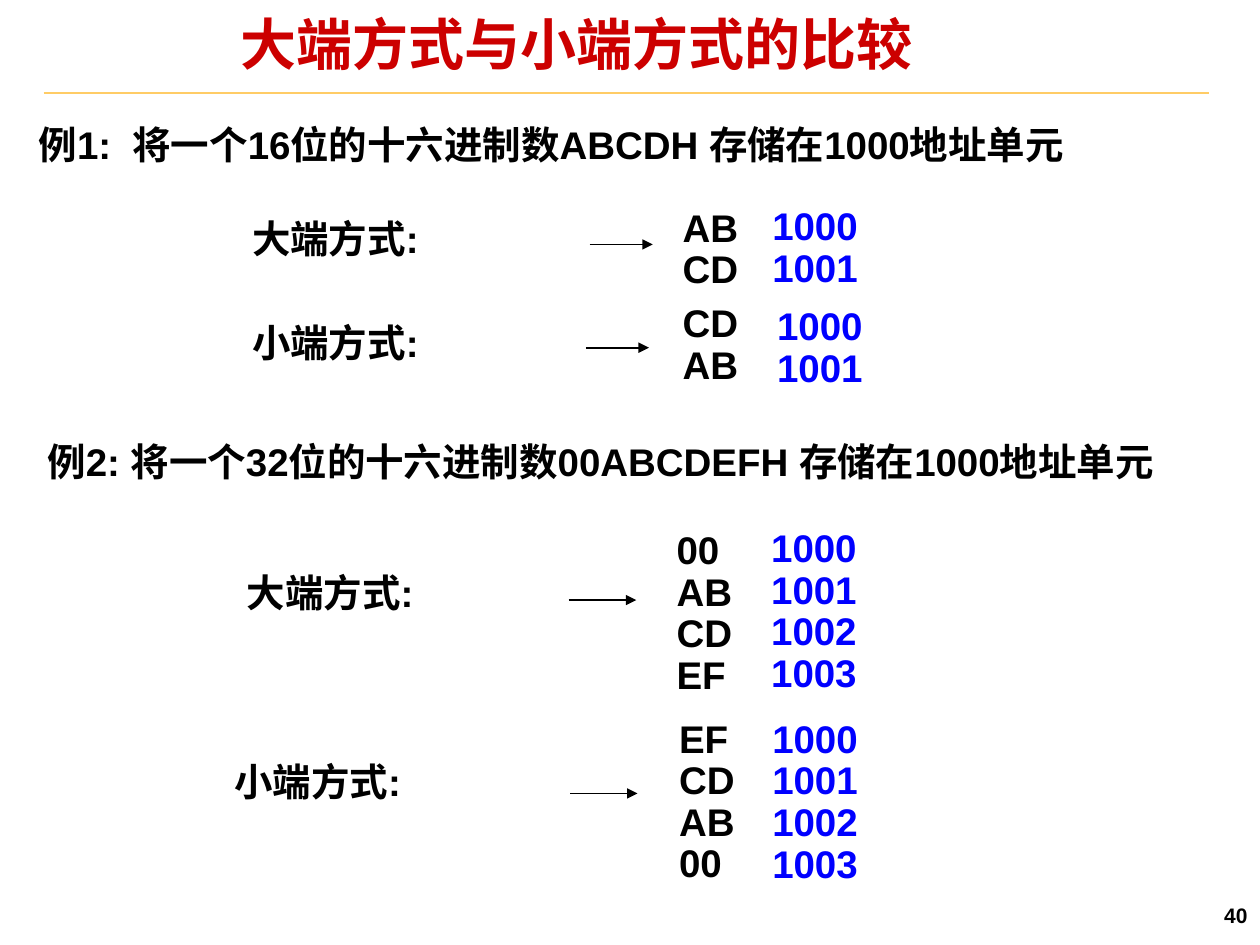
from pptx import Presentation
from pptx.dml.color import RGBColor
from pptx.enum.shapes import MSO_CONNECTOR
from pptx.enum.text import MSO_ANCHOR, MSO_AUTO_SIZE, PP_ALIGN
from pptx.oxml.ns import qn
from pptx.util import Pt
from lxml import etree

BLACK, BLUE, RED, GOLD = "000000", "0000FF", "CC0000", "FFCC66"


def color(value):
    return RGBColor.from_string(value)


def fill_text(tf, lines, size=22, c=BLACK, align=PP_ALIGN.LEFT, spacing=0.9):
    for i, line in enumerate(lines):
        p = tf.paragraphs[0] if i == 0 else tf.add_paragraph()
        p.alignment = align
        p.line_spacing = spacing
        p.space_before = Pt(0)
        r = p.add_run()
        r.text = line
        r.font.name = "Arial"
        r.font.size = Pt(size)
        r.font.bold = True
        r.font.color.rgb = color(c)


def add_text(s, lines, x, y, w, h, wrap=True, anchor=MSO_ANCHOR.TOP,
             fit=MSO_AUTO_SIZE.SHAPE_TO_FIT_TEXT, **fmt):
    tf = s.shapes.add_textbox(Pt(x), Pt(y), Pt(w), Pt(h)).text_frame
    tf.word_wrap = wrap
    tf.auto_size = fit
    tf.vertical_anchor = anchor
    fill_text(tf, lines, **fmt)


def add_line(s, x1, x2, y, c=BLACK, arrow=False):
    ln = s.shapes.add_connector(MSO_CONNECTOR.STRAIGHT, Pt(x1), Pt(y), Pt(x2), Pt(y))
    ln.line.color.rgb = color(c)
    ln.line.width = Pt(1)
    if arrow:
        etree.SubElement(ln.line._get_or_add_ln(), qn("a:tailEnd"), type="triangle")
    etree.SubElement(ln._element.spPr, qn("a:effectLst"))


def add_title(s, text):
    sp = s.shapes.title
    sp.left, sp.top, sp.width, sp.height = Pt(52), Pt(8.6), Pt(555), Pt(37.4)
    tf = sp.text_frame
    tf.margin_left = tf.margin_right = Pt(5)
    tf.margin_top = tf.margin_bottom = Pt(2.2)
    tf.vertical_anchor = MSO_ANCHOR.TOP
    tf.word_wrap = True
    tf.auto_size = MSO_AUTO_SIZE.SHAPE_TO_FIT_TEXT
    fill_text(tf, [text], size=32, c=RED, align=PP_ALIGN.CENTER, spacing=0.87)


def add_case(s, label, data, label_box, arrow, data_at, address_at):
    height = 8 + 23.7 * len(data)
    addresses = [str(1000 + i) for i in range(len(data))]
    add_text(s, [label], *label_box, 31)
    add_line(s, *arrow, arrow=True)
    add_text(s, data, *data_at, 47, height, wrap=False)
    add_text(s, addresses, *address_at, 63.4, height, wrap=False, c=BLUE)


def main():
    prs = Presentation()
    prs.slide_width, prs.slide_height = Pt(720), Pt(540)
    s = prs.slides.add_slide(prs.slide_layouts[5])
    add_line(s, 25, 691, 53.2, c=GOLD)
    add_title(s, "大端方式与小端方式的比较")

    big, little = "大端方式:", "小端方式:"
    short, long = ["AB", "CD"], ["00", "AB", "CD", "EF"]
    add_text(s, ["例1:  将一个16位的十六进制数ABCDH 存储在1000地址单元"], 15, 68.4, 693.4, 31)
    add_case(s, big, short, (137, 122.4, 122.4), (337, 373, 139.7),
             (383, 116), (434.2, 115.2))
    add_case(s, little, short[::-1], (137, 181.6, 111.6), (334.8, 370.8, 198.7),
             (383, 170.6), (437, 172.2))

    add_text(s, ["例2: 将一个32位的十六进制数00ABCDEFH 存储在1000地址单元"], 20, 249.8, 676, 31)
    add_case(s, big, long, (134, 324.8, 178.6), (325, 363.6, 342.9),
             (379.6, 300.2), (433.6, 299))
    add_case(s, little, long[::-1], (126.8, 432.8, 111.6), (326, 364.3, 453.4),
             (381, 407.8), (434.2, 408))

    add_text(s, ["40"], 558, 508.3, 162, 28.8, anchor=MSO_ANCHOR.MIDDLE,
             fit=MSO_AUTO_SIZE.NONE, size=12, align=PP_ALIGN.RIGHT, spacing=1.0)
    prs.save("out.pptx")


if __name__ == "__main__":
    main()
